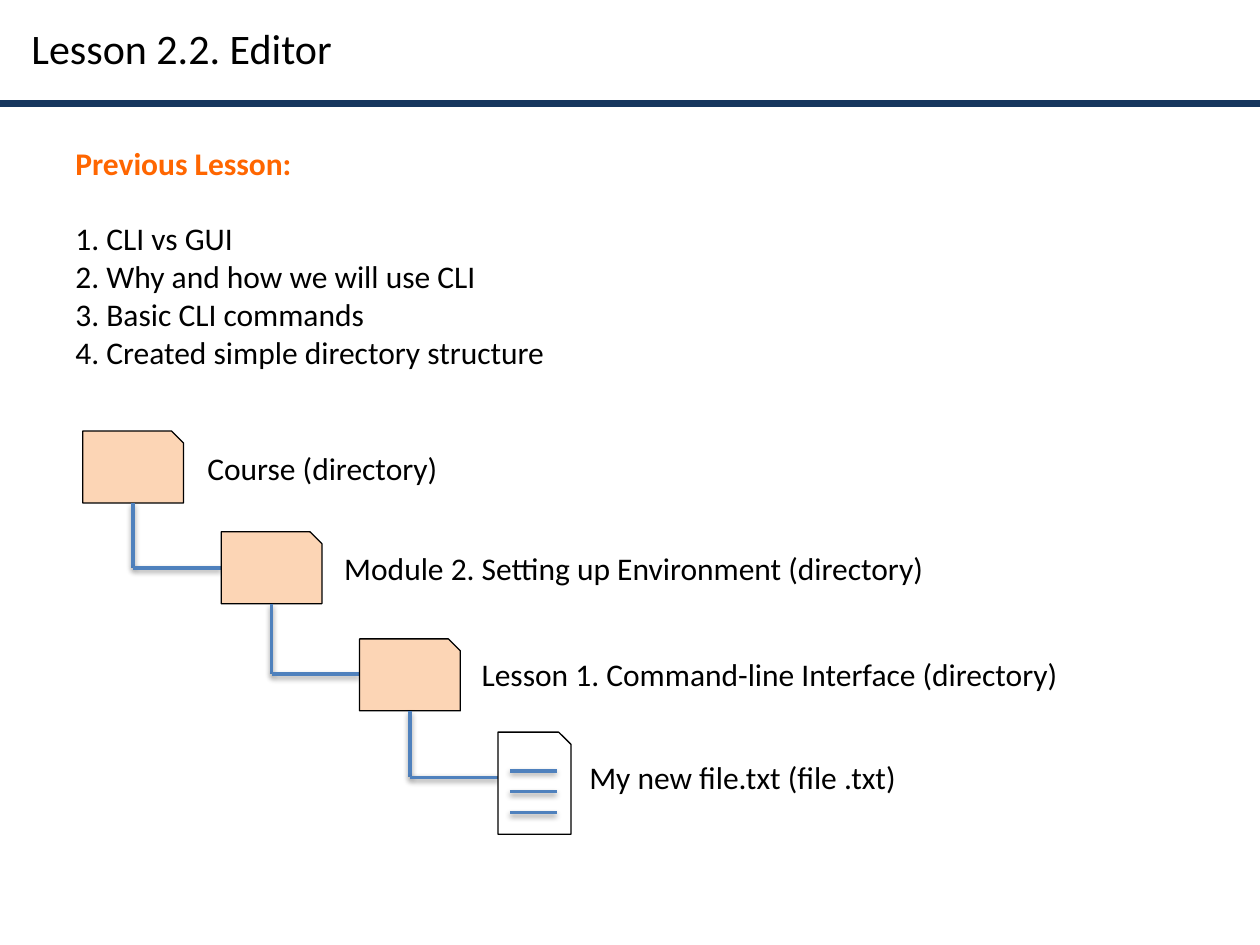
import pptx
import pptx.util
import pptx.dml.color
import pptx.enum.shapes
import pptx.enum.text
import pptx.oxml

Cm, Pt = pptx.util.Cm, pptx.util.Pt
SHAPE = pptx.enum.shapes.MSO_SHAPE
ANCHOR = pptx.enum.text.MSO_ANCHOR

# Content
lesson_title = "Lesson 2.2. Editor"
recap_heading = "Previous Lesson:"
recap_topics = [
    "1. CLI vs GUI",
    "2. Why and how we will use CLI",
    "3. Basic CLI commands",
    "4. Created simple directory structure",
]
# label, kind, top of icon, height of label centre and branch, label gap (cm)
tree = [
    ("Course (directory)", "folder", 8.69, 9.44, 0.23),
    ("Module 2. Setting up Environment (directory)", "folder", 10.72, 11.45, 0.2),
    ("Lesson 1. Command-line Interface (directory)", "folder", 12.88, 13.59, 0.18),
    ("My new file.txt (file .txt)", "file", 14.76, 15.67, 0.12),
]

# Formats
COLORS = {"text": "000000", "heading": "FF6600", "rule": "17375E",
          "branch": "4F81BD", "folder": "FCD5B5", "file": "FFFFFF"}
ICON_SIZES = {"folder": (2.03, 1.45), "file": (1.47, 2.06)}
FONTS = {
    "title": {"name": "Calibri", "size": Pt(24), "bold": False},
    "body": {"name": "Calibri", "size": Pt(18), "bold": False},
    "heading": {"name": "Calibri", "size": Pt(18), "bold": True},
}
TREE_LEFT, TREE_STEP = 1.67, 2.79
LABEL_WIDTH, LABEL_HEIGHT = 12.7, 1.02


def rgb(role):
    return pptx.dml.color.RGBColor.from_string(COLORS[role])


def write(paragraph, text, style, color="text"):
    run = paragraph.add_run()
    run.text = text
    for attribute, value in FONTS[style].items():
        setattr(run.font, attribute, value)
    run.font.color.rgb = rgb(color)


def add_text_box(left, top, width, height):
    frame = slide.shapes.add_textbox(Cm(left), Cm(top), Cm(width), Cm(height)).text_frame
    frame.word_wrap = True
    return frame


def add_line(x1, y1, x2, y2, color="branch", weight=2):
    line = slide.shapes.add_connector(
        pptx.enum.shapes.MSO_CONNECTOR.STRAIGHT, Cm(x1), Cm(y1), Cm(x2), Cm(y2))
    line.line.color.rgb = rgb(color)
    line.line.width = Pt(weight)
    return line


deck = pptx.Presentation()
deck.slide_width, deck.slide_height = Cm(25.4), Cm(19.05)
slide = deck.slides.add_slide(deck.slide_layouts[5])

# Title and the rule below it
heading = slide.shapes.title
title_place = {"left": Cm(0.38), "top": Cm(0.33), "width": Cm(13.54), "height": Cm(1.27)}
for attribute, value in title_place.items():
    setattr(heading, attribute, value)
title_frame = {"vertical_anchor": ANCHOR.TOP, "word_wrap": True,
               "auto_size": pptx.enum.text.MSO_AUTO_SIZE.NONE}
for attribute, value in title_frame.items():
    setattr(heading.text_frame, attribute, value)
title_line = heading.text_frame.paragraphs[0]
title_line.alignment = pptx.enum.text.PP_ALIGN.LEFT
write(title_line, lesson_title, "title")

rule = add_line(0, 2.08, 25.4, 2.08, "rule", 4)
rule._element.spPr.append(pptx.oxml.parse_xml(
    '<a:effectLst xmlns:a="http://schemas.openxmlformats.org/drawingml/2006/main"/>'))

# Recap of the previous lesson
recap = add_text_box(1.27, 2.77, 23.95, 7.19)
write(recap.paragraphs[0], recap_heading, "heading", "heading")
recap.paragraphs[0].space_after = Pt(21.6)
for topic in recap_topics:
    write(recap.add_paragraph(), topic, "body")

# Directory tree: each icon hangs from the bottom centre of the one before
parent = None
for level, (label, kind, top, middle, gap) in enumerate(tree):
    left = TREE_LEFT + level * TREE_STEP
    width, height = ICON_SIZES[kind]
    if parent:
        stem_x, stem_top = parent
        add_line(stem_x, stem_top, stem_x, middle)
        add_line(stem_x, middle, left, middle)
    icon = slide.shapes.add_shape(
        SHAPE.SNIP_1_RECTANGLE, Cm(left), Cm(top), Cm(width), Cm(height))
    icon.shadow.inherit = False
    icon.fill.solid()
    icon.fill.fore_color.rgb = rgb(kind)
    icon.line.color.rgb = rgb("text")
    icon.line.width = Pt(0.75)
    if kind == "file":
        for row in range(3):
            y = top + 0.78 + row * 0.42
            add_line(left + 0.24, y, left + 1.18, y)
    caption = add_text_box(left + width + gap, middle - LABEL_HEIGHT / 2,
                           LABEL_WIDTH, LABEL_HEIGHT)
    write(caption.paragraphs[0], label, "body")
    parent = (left + width / 2, top + height)

deck.save("out.pptx")
